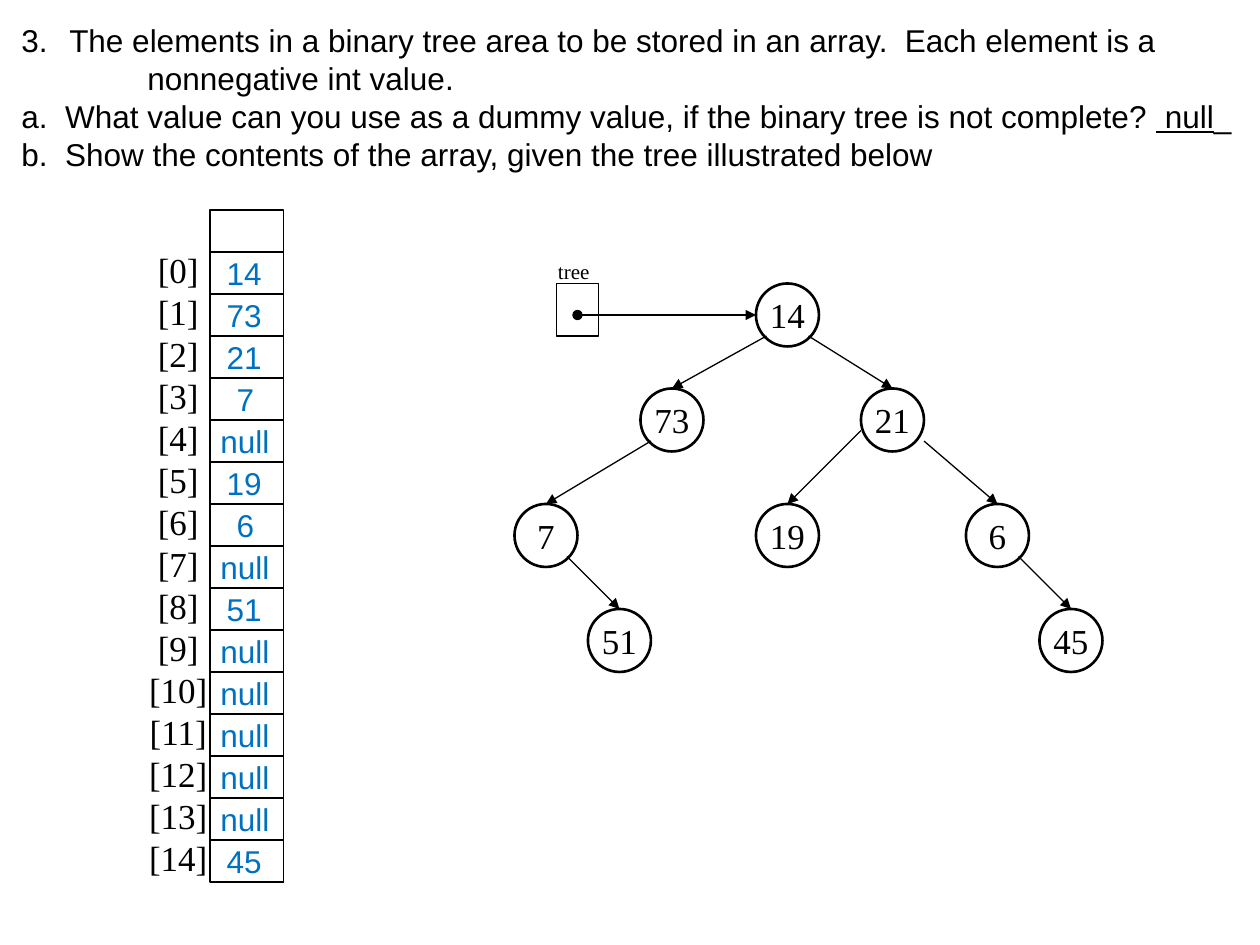
from lxml import etree
from pptx import Presentation
from pptx.dml.color import RGBColor
from pptx.enum.shapes import MSO_CONNECTOR, MSO_SHAPE
from pptx.enum.text import MSO_ANCHOR, PP_ALIGN
from pptx.oxml.ns import qn
from pptx.util import Inches, Pt

STRAIGHT = MSO_CONNECTOR.STRAIGHT
OVAL, RECTANGLE = MSO_SHAPE.OVAL, MSO_SHAPE.RECTANGLE
MIDDLE, TOP = MSO_ANCHOR.MIDDLE, MSO_ANCHOR.TOP
CENTER, LEFT = PP_ALIGN.CENTER, PP_ALIGN.LEFT

BLACK = RGBColor(0x00, 0x00, 0x00)
ANSWER_BLUE = RGBColor(0x00, 0x70, 0xC0)
SANS, SERIF = "Arial", "Times New Roman"

# The diagram lies on a grid of twelve cells to the inch.
CELLS_PER_INCH = 12
NODE_SIZE = 6
NODES = {
    "14": (72, 27), "73": (61, 37), "21": (82, 37), "7": (49, 48),
    "51": (56, 58), "19": (72, 48), "6": (92, 48), "45": (99, 58),
}
# Parent, child, and where the arrow leaves the parent's frame.
EDGES = [
    ("14", "73", (1, 5)), ("14", "21", (5, 5)), ("73", "7", (1, 5)),
    ("21", "19", (0, 4)), ("7", "51", (5, 5)), ("21", "6", (6, 5)),
    ("6", "45", (5, 5)),
]
ARRAY_LEFT, ARRAY_TOP, ARRAY_WIDTH, ROW_HEIGHT = 20, 20, 7, 4
ARRAY_VALUES = ["14", "73", "21", "7", "null", "19", "6", "null", "51",
                "null", "null", "null", "null", "null", "45"]
VALUE_LEFT = {1: 1.78, 2: 1.7, 4: 1.65}  # inches, by number of characters

QUESTION = [
    (0, 0.38, ["The elements in a binary tree area to be stored in an array.  "
               "Each element is a"]),
    (1, 1.38, ["nonnegative int value."]),
    (0, 0.38, ["a.  What value can you use as a dummy value, if the binary "
               "tree is not complete? ", " null", "_"]),
    (0, 0.38, ["b.  Show the contents of the array, given the tree "
               "illustrated below"]),
]
UNDERLINED = " null"


def cells(count):
    return Inches(count / CELLS_PER_INCH)


def style_runs(frame, font_name, size, color, align=LEFT):
    for paragraph in frame.paragraphs:
        paragraph.alignment = align
        for run in paragraph.runs:
            run.font.name = font_name
            run.font.size = Pt(size)
            run.font.color.rgb = color


def add_label(shapes, text, box, font_name, size, color, align=LEFT, wrap=False):
    """Add a text box; box is left, top, width, height in inches."""
    frame = shapes.add_textbox(*map(Inches, box)).text_frame
    frame.word_wrap = wrap
    frame.text = text
    style_runs(frame, font_name, size, color, align)
    return frame


def add_outline(shapes, preset, box, width):
    """Add an unfilled shape; box is in grid cells."""
    outline = shapes.add_shape(preset, *map(cells, box))
    outline.shadow.inherit = False
    outline.fill.background()
    outline.line.color.rgb = BLACK
    outline.line.width = Pt(width)
    return outline


def add_line(shapes, start, end, **arrowheads):
    """Add a line between grid points, with headEnd or tailEnd arrowheads."""
    line = shapes.add_connector(STRAIGHT, *map(cells, (*start, *end)))
    line.line.color.rgb = BLACK
    line.line.width = Pt(0.75)
    for tag, kind in arrowheads.items():
        etree.SubElement(line.line._get_or_add_ln(), qn(f"a:{tag}"), type=kind)
    etree.SubElement(line._element.spPr, qn("a:effectLst"))


def fill_question(body):
    body.left, body.top = Inches(0.07), Inches(0.12)
    body.width, body.height = Inches(9.89), Inches(1.31)
    frame = body.text_frame
    frame.word_wrap = False
    frame.vertical_anchor = TOP
    for number, (level, margin, parts) in enumerate(QUESTION):
        paragraph = frame.add_paragraph() if number else frame.paragraphs[0]
        paragraph.level = level
        paragraph.space_before = Pt(0)
        properties = paragraph._p.get_or_add_pPr()
        properties.set("marL", str(Inches(margin)))
        properties.set("indent", str(Inches(-0.38)))
        if number:
            etree.SubElement(properties, qn("a:buNone"))
        else:
            etree.SubElement(properties, qn("a:buFontTx"))
            etree.SubElement(properties, qn("a:buAutoNum"),
                             type="arabicPeriod", startAt="3")
        for part in parts:
            run = paragraph.add_run()
            run.text = part
            if part == UNDERLINED:
                run.font.underline = True
    style_runs(frame, SANS, 18, BLACK)


def draw_tree(shapes):
    for value, (left, top) in NODES.items():
        node = add_outline(shapes, OVAL, (left, top, NODE_SIZE, NODE_SIZE), 1.5)
        frame = node.text_frame
        frame.word_wrap = False
        frame.vertical_anchor = MIDDLE
        frame.text = value
        style_runs(frame, SERIF, 20, BLACK, CENTER)
    for parent, child, (right, down) in EDGES:
        parent_left, parent_top = NODES[parent]
        child_left, child_top = NODES[child]
        add_line(shapes, (parent_left + right, parent_top + down),
                 (child_left + NODE_SIZE / 2, child_top), tailEnd="triangle")


def draw_root_pointer(shapes):
    root_left, root_top = NODES["14"]
    add_outline(shapes, RECTANGLE, (53, root_top, 4, 5), 0.75)
    middle = root_top + NODE_SIZE / 2
    add_line(shapes, (55, middle), (root_left, middle),
             headEnd="oval", tailEnd="triangle")
    add_label(shapes, "tree", (4.33, 2, 0.45, 0.3), SERIF, 12, BLACK)


def draw_array(shapes):
    row_count = len(ARRAY_VALUES) + 1
    grid = shapes.add_group_shape().shapes
    add_outline(grid, RECTANGLE, (ARRAY_LEFT, ARRAY_TOP, ARRAY_WIDTH,
                                  row_count * ROW_HEIGHT), 0.75)
    indexes = "\n".join(f"[{i}]" for i in range(len(ARRAY_VALUES)))
    frame = add_label(grid, indexes, (1.08, 1.92, 0.67, 5.15),
                      SERIF, 20, BLACK, CENTER)
    for paragraph in frame.paragraphs:
        paragraph.line_spacing = Pt(72 * ROW_HEIGHT / CELLS_PER_INCH)
    for row, value in enumerate(ARRAY_VALUES, start=1):
        row_top = ARRAY_TOP + row * ROW_HEIGHT
        add_line(grid, (ARRAY_LEFT, row_top), (ARRAY_LEFT + ARRAY_WIDTH, row_top))
        box = (VALUE_LEFT[len(value)], row_top / CELLS_PER_INCH - 0.03, 0.63, 0.4)
        add_label(shapes, value, box, SANS, 18, ANSWER_BLUE, wrap=True)
    bottom = ARRAY_TOP + row_count * ROW_HEIGHT
    add_line(grid, (ARRAY_LEFT, bottom), (ARRAY_LEFT + ARRAY_WIDTH, bottom))


def main():
    deck = Presentation()
    deck.slide_width, deck.slide_height = Inches(10), Inches(7.5)
    slide = deck.slides.add_slide(deck.slide_layouts[1])
    title, body = slide.placeholders
    title._element.getparent().remove(title._element)
    fill_question(body)
    draw_tree(slide.shapes)
    draw_root_pointer(slide.shapes)
    draw_array(slide.shapes)
    deck.save("out.pptx")


if __name__ == "__main__":
    main()
